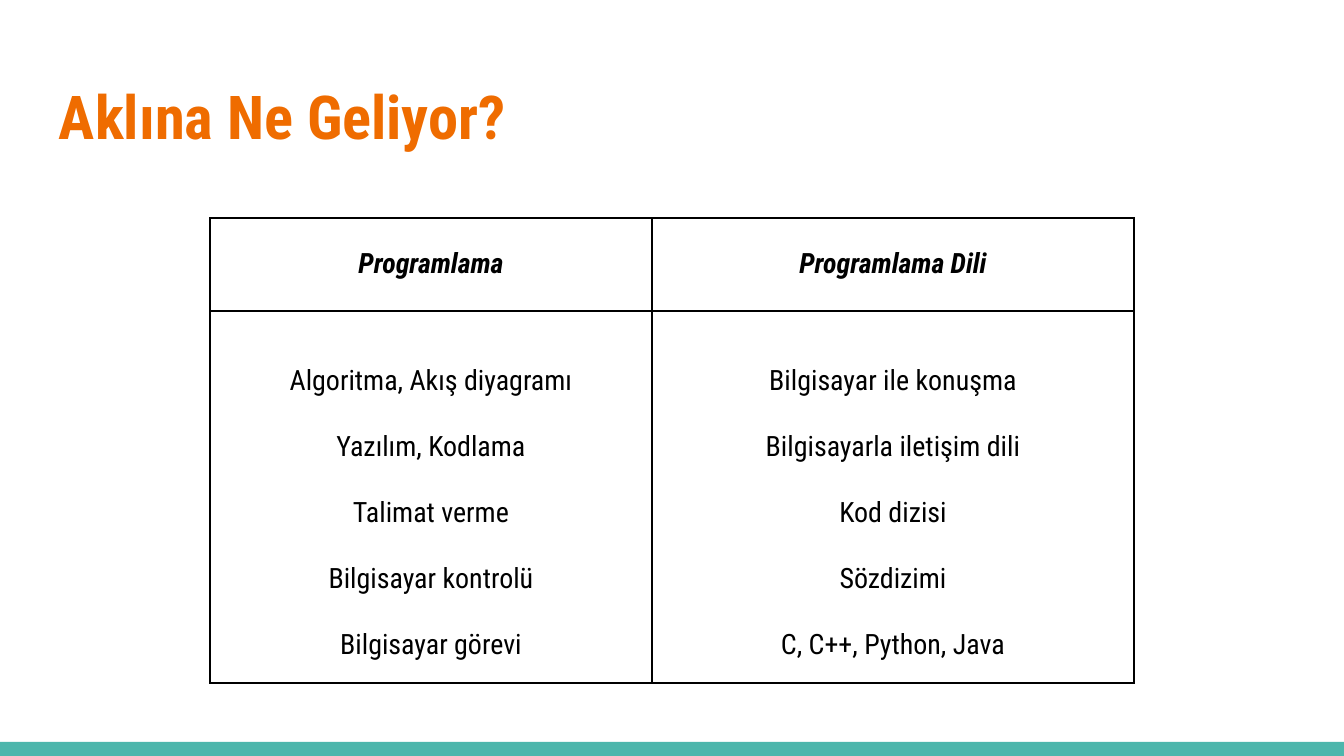
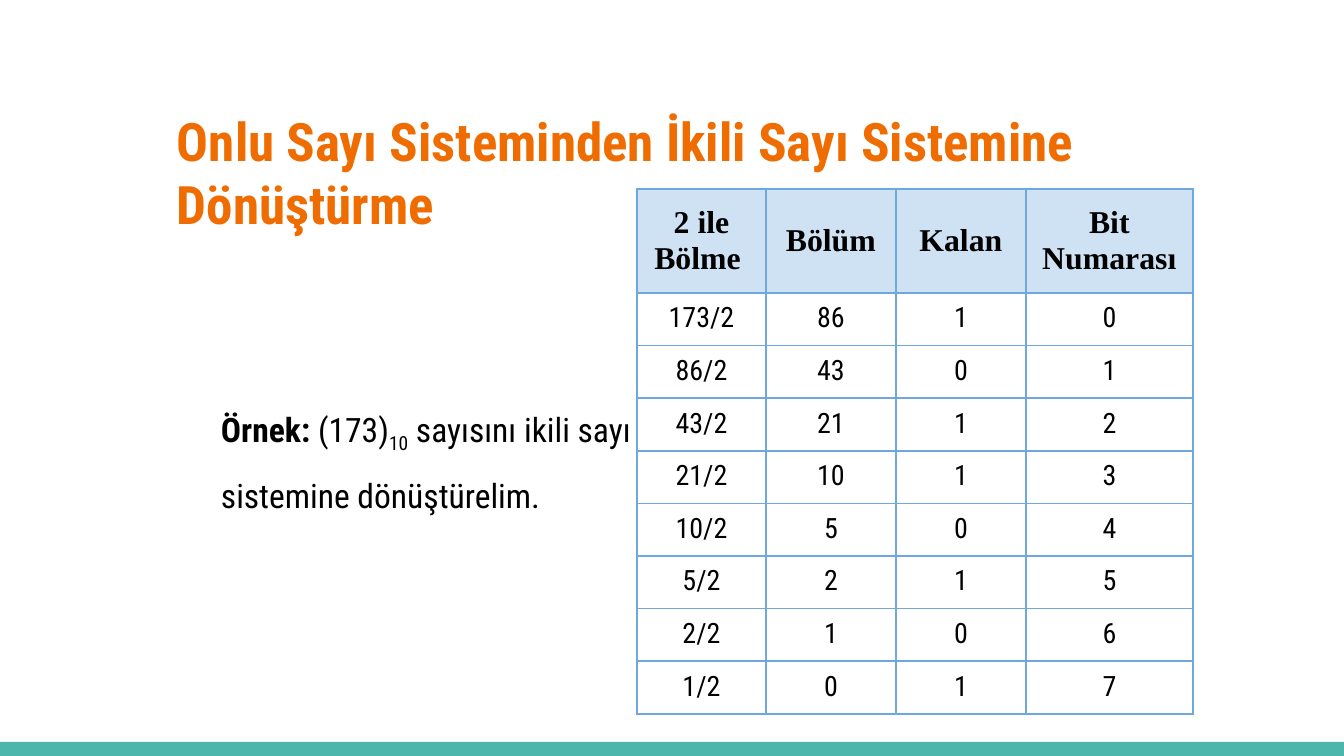
from dataclasses import dataclass

from lxml import etree
from pptx import Presentation
from pptx import util as u
from pptx.dml.color import RGBColor
from pptx.enum import shapes, text
from pptx.oxml import ns

PX = 914400 / 134.4
COLOURS = {
    "band": "4DB6AC",
    "title": "EF6C00",
    "ink": "000000",
    "grid": "6FA8DC",
    "header": "CFE2F3",
}
CONDENSED = "Roboto Condensed"
SERIF = "Times New Roman"
INSET = 13
CELL_INSETS = (9, 10, 9, 9)


@dataclass(frozen=True)
class Style:
    """Look of a span of text."""

    size: float
    font: str = CONDENSED
    colour: str = "ink"
    bold: bool = False
    italic: bool = False
    baseline: int = 0


@dataclass(frozen=True)
class Area:
    """Rectangle on the page, in px."""

    left: int
    top: int
    width: int
    height: int


@dataclass(frozen=True)
class Grid:
    """Table with a header row, measured in px."""

    left: int
    top: int
    columns: tuple[int, ...]
    rows: tuple[int, ...]
    cells: list[list[str]]
    header: Style
    body: Style
    border: str
    header_fill: str | None = None
    body_anchor: text.MSO_ANCHOR = text.MSO_ANCHOR.MIDDLE
    body_spacing: float = 1.0


def px(value: int) -> int:
    """Turn px into EMU."""
    return u.Emu(round(value * PX))


def rgb(name: str) -> RGBColor:
    """Look up a named colour."""
    return RGBColor.from_string(COLOURS[name])


def add_span(para, words: str, style: Style) -> None:
    """Append one styled run to a paragraph."""
    span = para.add_run()
    span.text = words
    span.font.size = u.Pt(style.size)
    span.font.name = style.font
    span.font.bold = style.bold
    span.font.italic = style.italic
    span.font.color.rgb = rgb(style.colour)
    if style.baseline:
        span.font._element.set("baseline", str(style.baseline))


def add_text(page, area: Area, spans: list[tuple[str, Style]],
             anchor: text.MSO_ANCHOR, spacing: float = 1.0) -> None:
    """Place a one-paragraph text box."""
    box = page.shapes.add_textbox(
        px(area.left), px(area.top), px(area.width), px(area.height))
    frame = box.text_frame
    frame.word_wrap = True
    frame.vertical_anchor = anchor
    frame.margin_left = frame.margin_right = px(INSET)
    frame.margin_top = frame.margin_bottom = px(INSET)
    para = frame.paragraphs[0]
    para.line_spacing = spacing
    for words, style in spans:
        add_span(para, words, style)


def add_borders(cell, colour: str) -> None:
    """Draw a 1 pt line on each side of a cell."""
    properties = cell._tc.get_or_add_tcPr()
    for index, side in enumerate(("lnL", "lnR", "lnT", "lnB")):
        line = etree.Element(ns.qn(f"a:{side}"), w=str(u.Pt(1)))
        fill = etree.SubElement(line, ns.qn("a:solidFill"))
        etree.SubElement(fill, ns.qn("a:srgbClr"), val=COLOURS[colour])
        properties.insert(index, line)


def fill_cell(cell, words: str, grid: Grid, is_header: bool) -> None:
    """Write and style one table cell."""
    cell.margin_top, cell.margin_bottom, cell.margin_left, cell.margin_right = map(
        px, CELL_INSETS)
    cell.vertical_anchor = text.MSO_ANCHOR.MIDDLE if is_header else grid.body_anchor
    if is_header and grid.header_fill:
        cell.fill.solid()
        cell.fill.fore_color.rgb = rgb(grid.header_fill)
    else:
        cell.fill.background()
    add_borders(cell, grid.border)
    for index, line in enumerate(words.split("\n")):
        frame = cell.text_frame
        para = frame.add_paragraph() if index else frame.paragraphs[0]
        para.alignment = text.PP_ALIGN.CENTER
        para.line_spacing = 1.0 if is_header else grid.body_spacing
        add_span(para, line, grid.header if is_header else grid.body)


def add_grid(page, grid: Grid) -> None:
    """Place a table."""
    table = page.shapes.add_table(
        len(grid.rows), len(grid.columns), px(grid.left), px(grid.top),
        px(sum(grid.columns)), px(sum(grid.rows))).table
    table.first_row = table.horz_banding = False
    for column, width in zip(table.columns, grid.columns):
        column.width = px(width)
    for row, height in zip(table.rows, grid.rows):
        row.height = px(height)
    for row_index, row_words in enumerate(grid.cells):
        for column_index, words in enumerate(row_words):
            fill_cell(table.cell(row_index, column_index), words, grid, row_index == 0)


def add_page(deck, title: str, area: Area, size: float):
    """Add a page with the bottom band and its title."""
    page = deck.slides.add_slide(deck.slide_layouts[6])
    band = page.shapes.add_shape(
        shapes.MSO_SHAPE.RECTANGLE, 0, px(742), px(1344), px(14))
    band.shadow.inherit = False
    band.fill.solid()
    band.fill.fore_color.rgb = rgb("band")
    band.line.fill.background()
    style = Style(size, colour="title", bold=True)
    add_text(page, area, [(title, style)], text.MSO_ANCHOR.TOP)
    return page


def division_rows(number: int) -> list[list[str]]:
    """List the repeated halvings of a number."""
    rows = []
    while number:
        quotient, remainder = divmod(number, 2)
        rows.append([f"{number}/2", str(quotient), str(remainder), str(len(rows))])
        number = quotient
    return rows


def build_ideas(deck) -> None:
    """Build the page that compares two terms."""
    page = add_page(deck, "Aklına Ne Geliyor?", Area(46, 66, 1253, 103), 32.4)
    programming = ("Algoritma, Akış diyagramı", "Yazılım, Kodlama", "Talimat verme",
                   "Bilgisayar kontrolü", "Bilgisayar görevi")
    language = ("Bilgisayar ile konuşma", "Bilgisayarla iletişim dili", "Kod dizisi",
                "Sözdizimi", "C, C++, Python, Java")
    add_grid(page, Grid(
        left=210, top=218, columns=(442, 482), rows=(93, 372),
        cells=[["Programlama", "Programlama Dili"],
               ["\n".join(programming), "\n".join(language)]],
        header=Style(15, bold=True, italic=True), body=Style(15),
        border="ink", body_spacing=2.0))


def build_conversion(deck) -> None:
    """Build the page that turns a decimal number into binary."""
    page = add_page(deck, "Onlu Sayı Sisteminden İkili Sayı Sistemine Dönüştürme",
                    Area(164, 95, 1103, 121), 28.4)
    divisions = division_rows(173)
    add_grid(page, Grid(
        left=637, top=189, columns=(129, 130, 130, 167),
        rows=(104,) + (44,) * len(divisions),
        cells=[["2 ile Bölme ", "Bölüm", "Kalan", "Bit Numarası"], *divisions],
        header=Style(17, font=SERIF, bold=True), body=Style(15),
        border="grid", header_fill="header", body_anchor=text.MSO_ANCHOR.TOP))
    plain = Style(18)
    add_text(page, Area(208, 230, 441, 441), [
        ("Örnek: ", Style(18, bold=True)),
        ("(173)", plain),
        ("10", Style(18, baseline=-25000)),
        (" sayısını ikili sayı sistemine dönüştürelim.", plain),
    ], text.MSO_ANCHOR.MIDDLE, 1.5)


def main() -> None:
    """Build and save the deck."""
    deck = Presentation()
    deck.slide_width, deck.slide_height = px(1344), px(756)
    build_ideas(deck)
    build_conversion(deck)
    deck.save("out.pptx")


if __name__ == "__main__":
    main()
